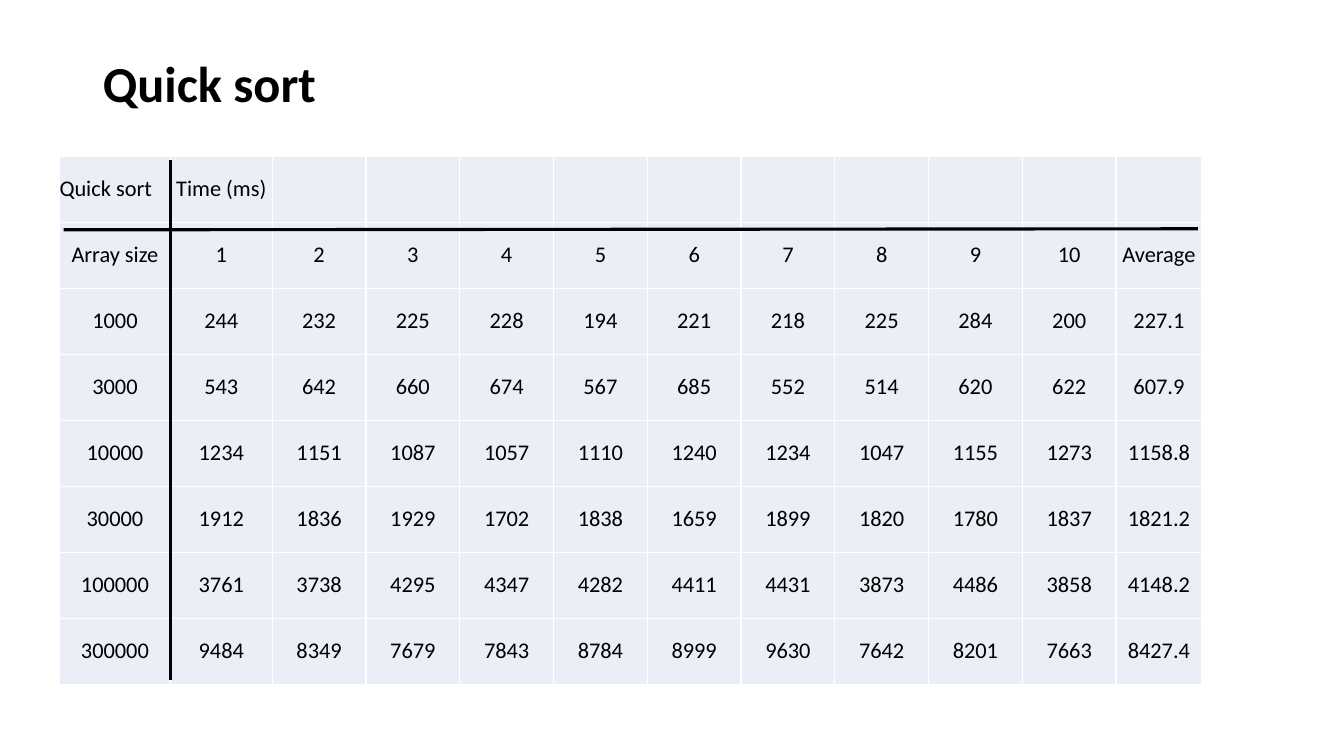
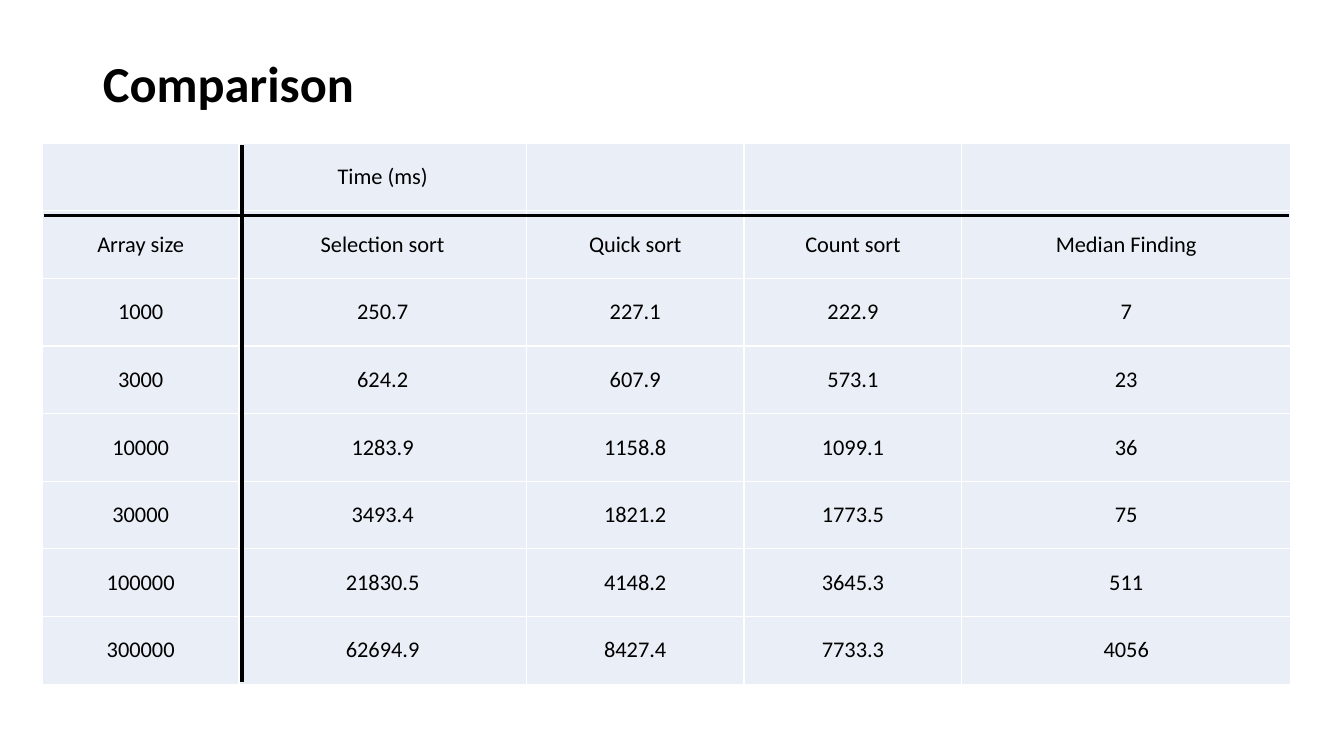
"""Build two slides that tabulate the running times of sorting algorithms."""
from lxml.etree import SubElement
from pptx import Presentation
from pptx.dml.color import RGBColor
from pptx.enum.shapes import MSO_CONNECTOR
from pptx.enum.text import MSO_ANCHOR, PP_ALIGN
from pptx.oxml.ns import qn
from pptx.util import Inches, Pt

COLORS = {"ink": "000000", "cell": "EAEFF7", "grid": "FFFFFF"}
SIZES = [1000, 3000, 10000, 30000, 100000, 300000]
QUICK_RUNS = [
    [244, 232, 225, 228, 194, 221, 218, 225, 284, 200],
    [543, 642, 660, 674, 567, 685, 552, 514, 620, 622],
    [1234, 1151, 1087, 1057, 1110, 1240, 1234, 1047, 1155, 1273],
    [1912, 1836, 1929, 1702, 1838, 1659, 1899, 1820, 1780, 1837],
    [3761, 3738, 4295, 4347, 4282, 4411, 4431, 3873, 4486, 3858],
    [9484, 8349, 7679, 7843, 8784, 8999, 9630, 7642, 8201, 7663],
]
QUICK_AVERAGES = [sum(runs) / len(runs) for runs in QUICK_RUNS]
SELECTION = [250.7, 624.2, 1283.9, 3493.4, 21830.5, 62694.9]
COUNT = [222.9, 573.1, 1099.1, 1773.5, 3645.3, 7733.3]
MEDIAN = [7, 23, 36, 75, 511, 4056]


class Deck:
    """Hold the shared style and the current slide."""

    font_name = "Calibri"

    def __init__(self):
        self.presentation = Presentation()
        self.presentation.slide_width = Inches(13.33)
        self.presentation.slide_height = Inches(7.5)
        self.slide = None

    def style(self, paragraph, size, align, bold=False):
        """Format one paragraph."""
        paragraph.alignment = align
        font = paragraph.font
        font.name, font.size, font.bold = self.font_name, Pt(size), bold
        font.color.rgb = RGBColor.from_string(COLORS["ink"])

    def add_slide(self, heading):
        """Start a slide with its title."""
        self.slide = self.presentation.slides.add_slide(self.presentation.slide_layouts[5])
        title = self.slide.shapes.title
        title.left, title.top = Inches(0.92), Inches(0.4)
        title.width, title.height = Inches(11.5), Inches(1.45)
        frame = title.text_frame
        frame.text = heading
        frame.vertical_anchor = MSO_ANCHOR.MIDDLE
        frame.margin_bottom = Inches(0.59)
        frame.paragraphs[0].line_spacing = 0.9
        self.style(frame.paragraphs[0], 36, PP_ALIGN.LEFT, True)

    def add_borders(self, cell):
        """Draw thin grid lines on all four sides of a cell."""
        properties = cell._tc.get_or_add_tcPr()
        for side in ("a:lnL", "a:lnR", "a:lnT", "a:lnB"):
            border = SubElement(properties, qn(side), w=str(Pt(1)))
            fill = SubElement(border, qn("a:solidFill"))
            SubElement(fill, qn("a:srgbClr"), val=COLORS["grid"])

    def add_cell(self, cell, value, align):
        """Fill and format one table cell."""
        self.add_borders(cell)
        cell.fill.solid()
        cell.fill.fore_color.rgb = RGBColor.from_string(COLORS["cell"])
        cell.margin_left = cell.margin_right = cell.margin_top = cell.margin_bottom = 0
        cell.vertical_anchor = MSO_ANCHOR.MIDDLE
        cell.text = str(value)
        self.style(cell.text_frame.paragraphs[0], 16, align)

    def add_table(self, left, top, height, widths, rows):
        """Add a table with equal rows, padding short rows with empty cells."""
        table = self.slide.shapes.add_table(
            len(rows), len(widths), Inches(left), Inches(top),
            Inches(sum(widths)), Inches(height)).table
        table.first_row = table.horz_banding = False
        for column, width in zip(table.columns, widths):
            column.width = Inches(width)
        for r, values in enumerate(rows):
            table.rows[r].height = Inches(height / len(rows))
            padded = values + [""] * (len(widths) - len(values))
            for c, value in enumerate(padded):
                align = PP_ALIGN.LEFT if r == c == 0 else PP_ALIGN.CENTER
                self.add_cell(table.cell(r, c), value, align)

    def add_rule(self, x1, y1, x2, y2):
        """Add a straight rule."""
        rule = self.slide.shapes.add_connector(
            MSO_CONNECTOR.STRAIGHT, Inches(x1), Inches(y1), Inches(x2), Inches(y2))
        rule.line.color.rgb = RGBColor.from_string(COLORS["ink"])
        rule.line.width = Pt(2.25)
        SubElement(rule._element.spPr, qn("a:effectLst"))


def main():
    """Build and save the slides."""
    deck = Deck()

    deck.add_slide("Quick sort")
    quick_rows = [["Quick sort", "Time (ms)"], ["Array size", *range(1, 11), "Average"]]
    quick_rows += [[size, *runs, average] for size, runs, average
                   in zip(SIZES, QUICK_RUNS, QUICK_AVERAGES)]
    deck.add_table(0.59, 1.55, 5.24, [1.1, 1.01] + [0.93] * 9 + [0.85], quick_rows)
    deck.add_rule(1.69, 1.59, 1.69, 6.75)
    deck.add_rule(0.63, 2.28, 11.88, 2.27)

    deck.add_slide("Comparison")
    comparison_rows = [
        ["", "Time (ms)"],
        ["Array size", "Selection sort", "Quick sort", "Count sort", "Median Finding"],
    ]
    comparison_rows += [list(times) for times
                        in zip(SIZES, SELECTION, QUICK_AVERAGES, COUNT, MEDIAN)]
    deck.add_table(0.42, 1.42, 5.37, [1.95, 2.85, 2.16, 2.16, 3.26], comparison_rows)
    deck.add_rule(2.4, 1.44, 2.4, 6.77)
    deck.add_rule(0.44, 2.14, 12.78, 2.14)

    deck.presentation.save("out.pptx")


if __name__ == "__main__":
    main()
